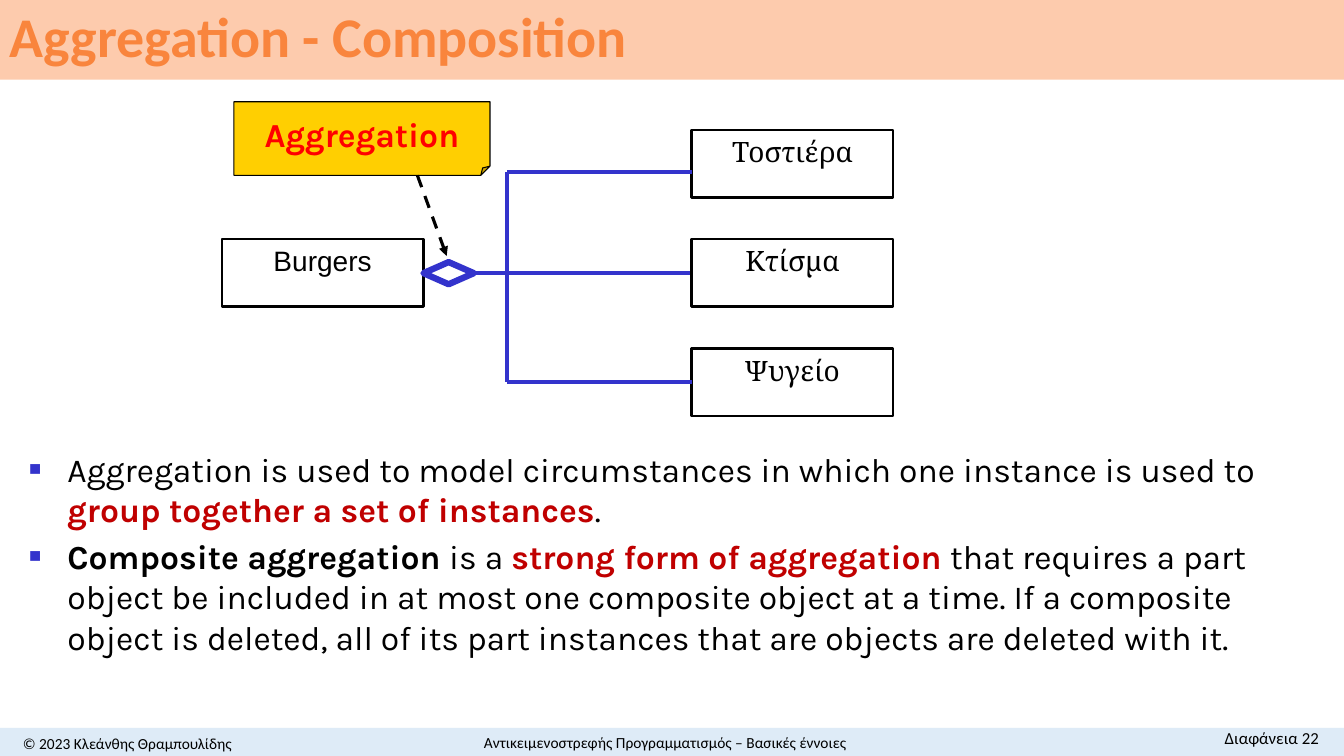
from lxml import etree
from pptx import Presentation
from pptx.dml.color import RGBColor
from pptx.enum import dml, shapes, text
from pptx.oxml import ns
from pptx.util import Inches, Pt

COLORS = {
    "black": "000000", "white": "FFFFFF", "blue": "3333CC", "red": "FF0000",
    "dark_red": "C00000", "yellow": "FFCF01", "orange": "F9853D",
    "peach": "FDCBAD", "pale_blue": "DEEBF7",
}
RECT = shapes.MSO_SHAPE.RECTANGLE
TOP, MIDDLE = text.MSO_ANCHOR.TOP, text.MSO_ANCHOR.MIDDLE
LEFT, CENTER, RIGHT = text.PP_ALIGN.LEFT, text.PP_ALIGN.CENTER, text.PP_ALIGN.RIGHT


def add_box(area, kind=None, fill=None, line=None, width=1.75, paragraphs=(),
            font="Calibri", size=20, align=CENTER, anchor=TOP):
    """Add a preset shape, or a text box if kind is None; runs are (words, colour, bold)."""
    area = [Inches(length) for length in area]
    if kind is None:
        box = slide.shapes.add_textbox(*area)
    else:
        box = slide.shapes.add_shape(kind, *area)
        box.shadow.inherit = False
        box.fill.solid()
        box.fill.fore_color.rgb = RGBColor.from_string(COLORS[fill])
        if line:
            box.line.color.rgb = RGBColor.from_string(COLORS[line])
            box.line.width = Pt(width)
        else:
            box.line.fill.background()
    frame = box.text_frame
    frame.word_wrap = True
    frame.vertical_anchor = anchor
    for index, runs in enumerate(paragraphs):
        paragraph = frame.add_paragraph() if index else frame.paragraphs[0]
        paragraph.alignment = align
        for words, ink, bold in runs:
            run = paragraph.add_run()
            run.text = words
            run.font.name, run.font.size, run.font.bold = font, Pt(size), bold
            run.font.color.rgb = RGBColor.from_string(COLORS[ink])
    return box


def add_line(start, end, ink, width):
    line = slide.shapes.add_connector(
        shapes.MSO_CONNECTOR.STRAIGHT, *[Inches(length) for length in start + end])
    line.line.color.rgb = RGBColor.from_string(COLORS[ink])
    line.line.width = Pt(width)
    etree.SubElement(line._element.spPr, ns.qn("a:effectLst"))
    return line


prs = Presentation()
prs.slide_width, prs.slide_height = Inches(13.33), Inches(7.5)
slide = prs.slides.add_slide(prs.slide_layouts[6])

# Title and footer
add_box((0, 7.22, 13.33, 0.28), RECT, "pale_blue")
title = add_box((0, 0, 13.33, 0.79), RECT, "peach", size=40, align=LEFT, anchor=MIDDLE,
                paragraphs=[[("Aggregation - Composition", "orange", True)]])
title.text_frame.paragraphs[0].line_spacing = 0.9
for area, words, size, align, anchor in [
    ((0, 7.22, 2.53, 0.3), "© 2023 Κλεάνθης Θραμπουλίδης", 11, CENTER, MIDDLE),
    ((11.12, 7.17, 2.06, 0.3), "Διαφάνεια 22", 12, RIGHT, TOP),
    ((4.51, 7.22, 4.18, 0.28), "Αντικειμενοστρεφής Προγραμματισμός – Βασικές έννοιες",
     11, CENTER, MIDDLE),
]:
    add_box(area, paragraphs=[[(words, "black", False)]], size=size, align=align,
            anchor=anchor)

# Whole, diamond and parts
PART_LEFT, TRUNK, AXIS = 6.86, 5.03, 2.71
add_box((2.2, 2.37, 2, 0.67), RECT, "white", "black", font="Arial",
        paragraphs=[[("Burgers", "black", False)]])
add_box((4.2, AXIS - 0.11, 0.5, 0.22), shapes.MSO_SHAPE.DIAMOND, "white", "blue", 4.5)
add_line((4.7, AXIS), (PART_LEFT, AXIS), "blue", 3)
for part, top, branch in [("Τοστιέρα", 1.29, 1.71), ("Κτίσμα", 2.37, AXIS),
                          ("Ψυγείο", 3.46, 3.79)]:
    add_box((PART_LEFT, top, 2, 0.67), RECT, "white", "black", font="Cambria",
            paragraphs=[[(part, "black", False)]])
    if branch != AXIS:
        add_line((TRUNK, AXIS), (TRUNK, branch), "blue", 3)
        add_line((TRUNK, branch), (PART_LEFT, branch), "blue", 3)

# Note pointing at the diamond
note = add_box((2.32, 1.01, 2.54, 0.73), shapes.MSO_SHAPE.FOLDED_CORNER, "yellow", "black",
               0.75, [[("Aggregation", "red", True)]], "Karla", 24, anchor=MIDDLE)
note.text_frame.word_wrap = False
fold = note._element.spPr.find(ns.qn("a:prstGeom")).get_or_add_avLst()
etree.SubElement(fold, ns.qn("a:gd"), name="adj", fmla="val 12500")
pointer = add_line((4.14, 1.74), (4.43, 2.54), "black", 2.25)
pointer.line.dash_style = dml.MSO_LINE.DASH
etree.SubElement(pointer._element.spPr.find(ns.qn("a:ln")), ns.qn("a:tailEnd"),
                 type="triangle")

# Explanation
points = [
    [("Aggregation is used to model circumstances in which one instance is used to ",
      "black", False),
     ("group together a set of instances", "dark_red", True),
     (".", "black", False)],
    [("Composite aggregation ", "black", True),
     ("is a ", "black", False),
     ("strong form of aggregation ", "dark_red", True),
     ("that requires a part object be included in at most one composite object at a time. "
      "If a composite object is deleted, all of its part instances that are objects are "
      "deleted with it.", "black", False)],
]
explanation = add_box((0.19, 4.4, 12.99, 2.26), paragraphs=points, font="Karla", size=24,
                      align=LEFT)
for index, paragraph in enumerate(explanation.text_frame.paragraphs):
    if index:
        paragraph.space_before = Pt(4.8)
    props = paragraph._p.get_or_add_pPr()
    props.set("marL", str(Inches(0.38)))
    props.set("indent", str(-Inches(0.38)))
    bullet_color = etree.SubElement(props, ns.qn("a:buClr"))
    etree.SubElement(bullet_color, ns.qn("a:srgbClr"), val=COLORS["blue"])
    etree.SubElement(props, ns.qn("a:buSzPct"), val="60000")
    etree.SubElement(props, ns.qn("a:buFont"), typeface="Arial")
    etree.SubElement(props, ns.qn("a:buChar"), char="■")

prs.save("out.pptx")
